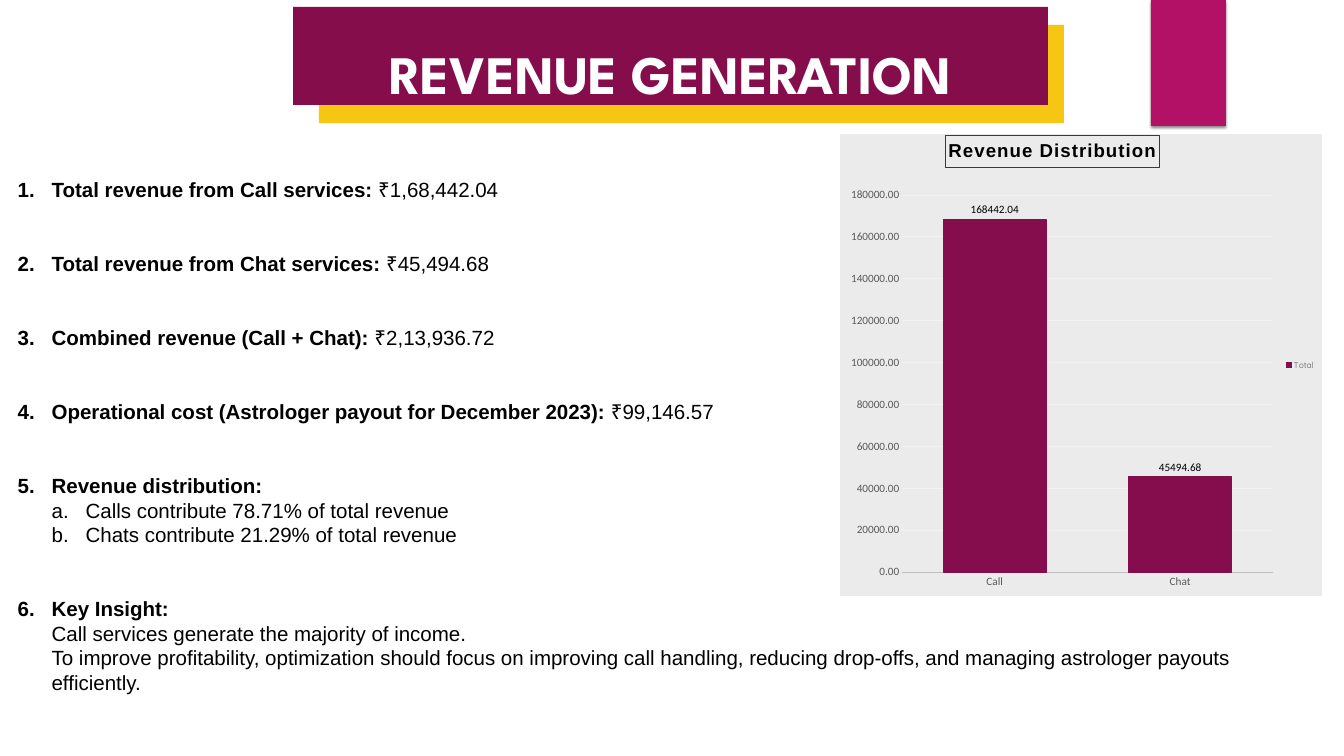
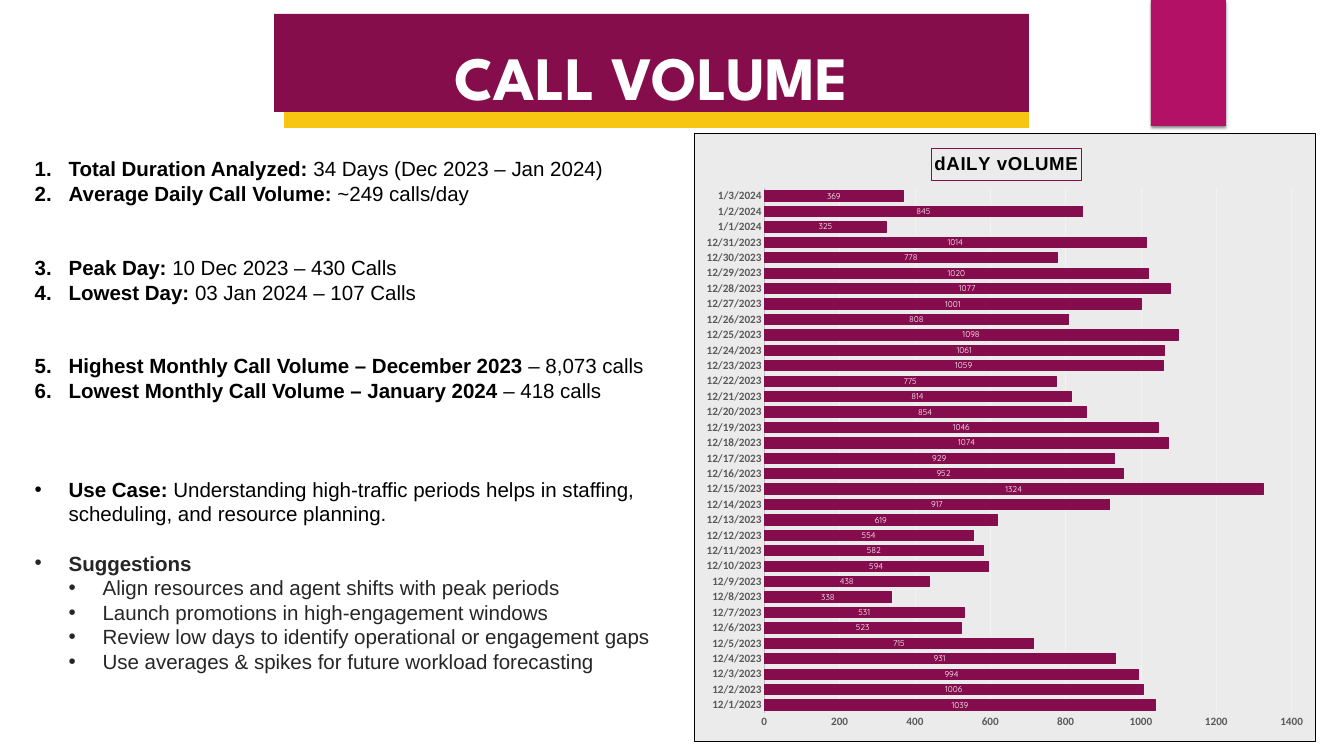
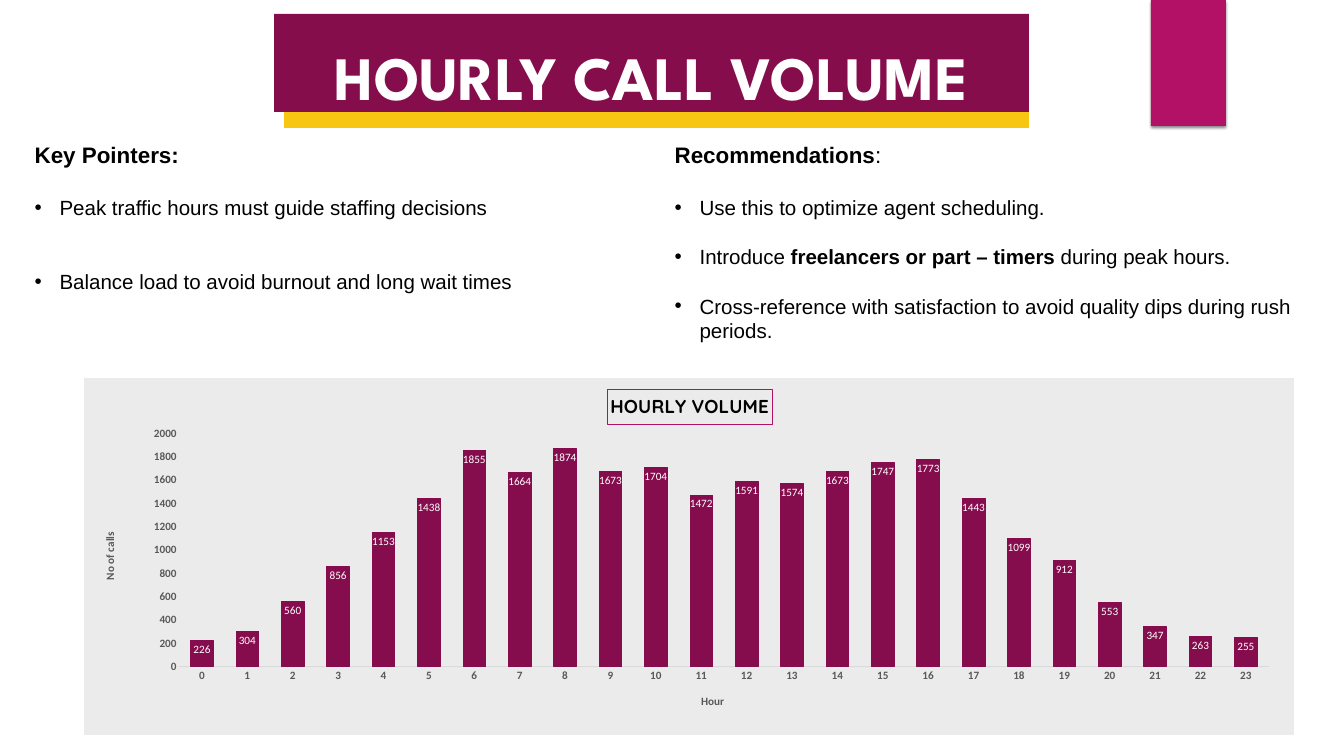
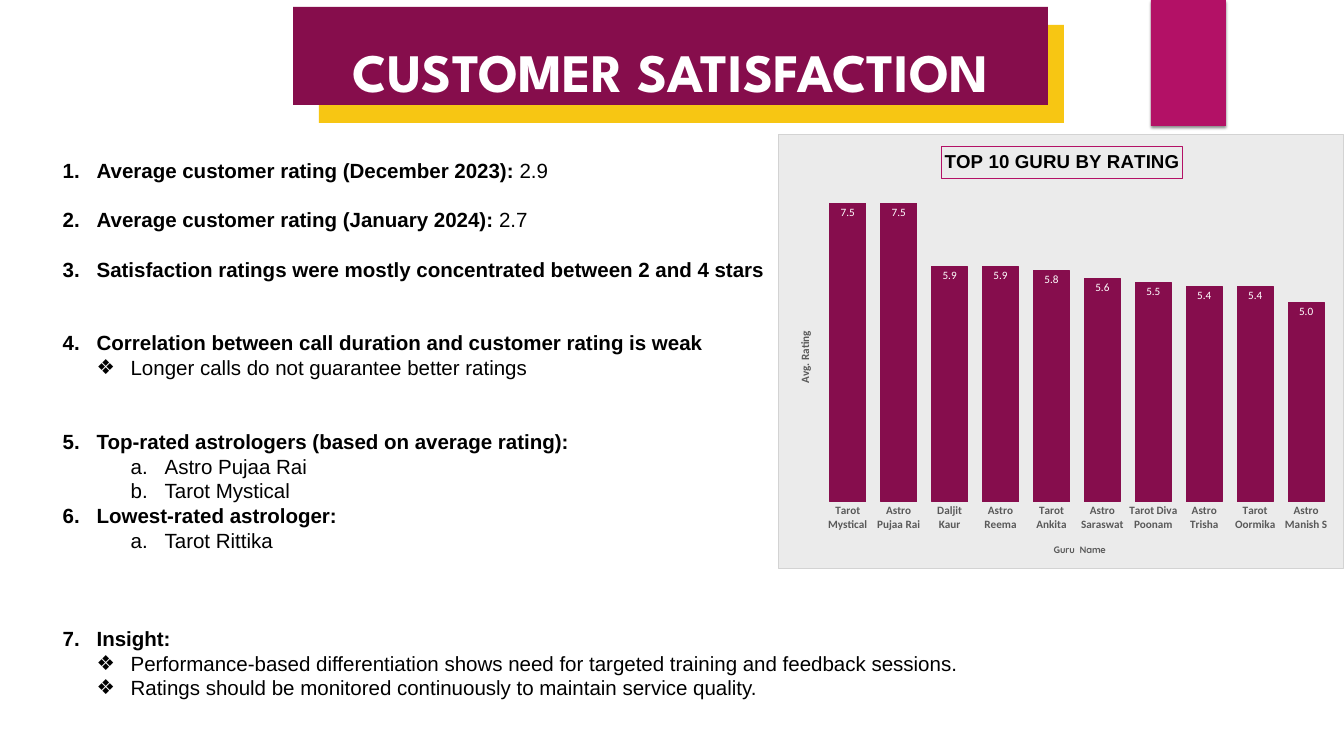
from pptx import Presentation
from pptx.chart.data import CategoryChartData
from pptx.dml.color import RGBColor
from pptx.enum.chart import XL_CHART_TYPE, XL_LABEL_POSITION, XL_LEGEND_POSITION, XL_TICK_MARK
from pptx.enum.shapes import MSO_SHAPE
from pptx.enum.text import MSO_ANCHOR, PP_ALIGN
from pptx.oxml import parse_xml
from pptx.oxml.ns import nsdecls, qn
from pptx.util import Pt

COLUMN, BAR = XL_CHART_TYPE.COLUMN_CLUSTERED, XL_CHART_TYPE.BAR_CLUSTERED
IN_END, OUT_END, CENTER = (XL_LABEL_POSITION.INSIDE_END, XL_LABEL_POSITION.OUTSIDE_END,
                           XL_LABEL_POSITION.CENTER)
NO_TICK, RIGHT = XL_TICK_MARK.NONE, XL_LEGEND_POSITION.RIGHT
RECT = MSO_SHAPE.RECTANGLE
TOP, MIDDLE = MSO_ANCHOR.TOP, MSO_ANCHOR.MIDDLE
LEFT, MID = PP_ALIGN.LEFT, PP_ALIGN.CENTER


class Theme:
    plum, bar, gold, pink = "860D4C", "860D4D", "F7C613", "B31166"
    black, white, ink, gray = "000000", "FFFFFF", "262626", "595959"
    panel, grid, axis, base, edge = "EBEBEB", "F2F2F2", "BFBFBF", "D9D9D9", "D3D3D3"
    head, body, label, plain = "League Spartan", "Arial", "Calibri", "Quicksand"
    text, lead, sub = 22, 26.4, 24
    title, tick, small, note = 20, 12, 9, 10


def px(n):
    return round(n * 914400 / 67.2)


def text(slide, box, items, font=Theme.body, size=Theme.text, color=Theme.black,
         lead=Theme.lead, anchor=MIDDLE, align=LEFT, inset=True, indent=34):
    """Items are (mark, level, blank lines above, text, overrides); ** toggles bold."""
    frame = slide.shapes.add_textbox(*map(px, box)).text_frame
    frame.word_wrap = True
    frame.vertical_anchor = anchor
    if not inset:
        frame.margin_left = frame.margin_right = frame.margin_top = frame.margin_bottom = 0
    for i, (mark, level, gap, words, *extra) in enumerate(items):
        look = {"size": size, "color": color}
        for change in extra:
            look.update(change)
        para = frame.add_paragraph() if i else frame.paragraphs[0]
        para.level, para.alignment = level, align
        para.line_spacing = Pt(lead)
        para.space_before = Pt(gap * lead)
        if mark:
            props = para._p.get_or_add_pPr()
            props.set("marL", str(px(indent * (level + 1))))
            props.set("indent", str(-px(indent)))
            auto = {"1.": "arabicPeriod", "a.": "alphaLcPeriod"}.get(mark)
            tag = f'buAutoNum {nsdecls("a")} type="{auto}"' if auto else f'buChar {nsdecls("a")} char="{mark}"'
            props.append(parse_xml(f'<a:buFont {nsdecls("a")} typeface="{font}"/>'))
            props.append(parse_xml(f"<a:{tag}/>"))
        for j, part in enumerate(words.split("**")):
            for k, line in enumerate(part.split("\n")):
                if k:
                    para.add_line_break()
                if line:
                    run = para.add_run()
                    run.text = line
                    run.font.name, run.font.size = font, Pt(look["size"])
                    run.font.bold = j % 2 == 1
                    run.font.color.rgb = RGBColor.from_string(look["color"])


def lay(node, area, x, y, w=None, h=None):
    """Fix the place of a plot or a title inside the chart area."""
    old = node.find(qn("c:layout"))
    if old is not None:
        node.remove(old)
    rows = [("xMode", "edge"), ("yMode", "edge"),
            ("x", round((x - area[0]) / area[2], 4)), ("y", round((y - area[1]) / area[3], 4))]
    if w:
        rows = [("layoutTarget", "inner"), *rows, ("w", round(w / area[2], 4)), ("h", round(h / area[3], 4))]
    inner = "".join(f'<c:{tag} val="{val}"/>' for tag, val in rows)
    layout = parse_xml(f'<c:layout {nsdecls("c")}><c:manualLayout>{inner}</c:manualLayout></c:layout>')
    node.insert(0 if node.find(qn("c:tx")) is None else 1, layout)


days = ([f"12/{d}/2023" for d in range(1, 32)] + [f"1/{d}/2024" for d in range(1, 4)])
daily = [1039, 1006, 994, 931, 715, 523, 531, 338, 438, 594, 582, 554, 619, 917, 1324, 952, 929,
         1074, 1046, 854, 814, 775, 1059, 1061, 1098, 808, 1001, 1077, 1020, 778, 1014, 325, 845, 369]
hourly = [226, 304, 560, 856, 1153, 1438, 1855, 1664, 1874, 1673, 1704, 1472, 1591, 1574, 1673,
          1747, 1773, 1443, 1099, 912, 553, 347, 263, 255]
gurus = ["Tarot Mystical", "Astro Pujaa Rai", "Daljit Kaur", "Astro Reema", "Tarot Ankita",
         "Astro Saraswat", "Tarot Diva Poonam", "Astro Trisha", "Tarot Oormika", "Astro Manish S"]
rates = [7.5, 7.5, 5.9, 5.9, 5.8, 5.6, 5.5, 5.4, 5.4, 5]

wide = {"band": (293, 7, 755, 98), "under": (319, 25, 745, 98), "size": 58}
tight = {"band": (274, 14, 755, 98), "under": (284, 30, 745, 98), "size": 66}
sub, soft = {"size": Theme.sub}, {"color": Theme.ink}

revenue = [
    ("1.", 0, 0, "**Total revenue from Call services: **₹1,68,442.04"),
    ("1.", 0, 2, "**Total revenue from Chat services:** ₹45,494.68"),
    ("1.", 0, 2, "**Combined revenue (Call + Chat): **₹2,13,936.72"),
    ("1.", 0, 2, "**Operational cost (Astrologer payout for December 2023): **₹99,146.57"),
    ("1.", 0, 2, "**Revenue distribution:**"),
    ("a.", 1, 0, "Calls contribute 78.71% of total revenue"),
    ("a.", 1, 0, "Chats contribute 21.29% of total revenue"),
    ("1.", 0, 2, "**Key Insight:**\nCall services generate the majority of income.\n"
     "To improve profitability, optimization should focus on improving call handling, "
     "reducing drop-offs, and managing astrologer payouts efficiently."),
]
volume = [
    ("1.", 0, 0, "**Total Duration Analyzed:** 34 Days (Dec 2023 – Jan 2024)"),
    ("1.", 0, 0, "**Average Daily Call Volume:** ~249 calls/day"),
    ("1.", 0, 2, "**Peak Day:** 10 Dec 2023 – 430 Calls"),
    ("1.", 0, 0, "**Lowest Day:** 03 Jan 2024 – 107 Calls"),
    ("1.", 0, 2, "**Highest Monthly Call Volume – December 2023** – 8,073 calls"),
    ("1.", 0, 0, "**Lowest Monthly Call Volume – January 2024** – 418 calls"),
    ("•", 0, 3, "**Use Case:** Understanding high-traffic periods helps in staffing, "
     "scheduling, and resource planning."),
    ("•", 0, 1, "**Suggestions**", soft),
    ("•", 1, 0, "Align resources and agent shifts with peak periods", soft),
    ("•", 1, 0, "Launch promotions in high-engagement windows", soft),
    ("•", 1, 0, "Review low days to identify operational or engagement gaps", soft),
    ("•", 1, 0, "Use averages & spikes for future workload forecasting", soft),
]
points = [
    ("", 0, 0, "**Key Pointers:**", sub),
    ("•", 0, 1.1, "Peak traffic hours must guide staffing decisions"),
    ("•", 0, 2, "Balance load to avoid burnout and long wait times"),
]
advice = [
    ("", 0, 0, "**Recommendations**:", sub),
    ("•", 0, 1.1, "Use this to optimize agent scheduling."),
    ("•", 0, 1, "Introduce **freelancers or part – timers** during peak hours."),
    ("•", 0, 1, "Cross-reference with satisfaction to avoid quality dips during rush periods."),
]
rating = [
    ("1.", 0, 0, "**Average customer rating (December 2023): **2.9"),
    ("1.", 0, 1, "**Average customer rating (January 2024): **2.7"),
    ("1.", 0, 1, "**Satisfaction ratings were mostly concentrated between 2 and 4 stars**"),
    ("1.", 0, 2, "**Correlation between call duration and customer rating is weak**"),
    ("❖", 1, 0, "Longer calls do not guarantee better ratings"),
    ("1.", 0, 2, "**Top-rated astrologers (based on average rating):**"),
    ("a.", 2, 0, "Astro Pujaa Rai"),
    ("a.", 2, 0, "Tarot Mystical"),
    ("1.", 0, 0, "**Lowest-rated astrologer:**"),
    ("a.", 2, 0, "Tarot Rittika"),
    ("1.", 0, 3, "**Insight:**"),
    ("❖", 1, 0, "Performance-based differentiation shows need for targeted training and feedback sessions."),
    ("❖", 1, 0, "Ratings should be monitored continuously to maintain service quality."),
]

pages = [
    {"title": "REVENUE GENERATION", "place": (293, 7, 755, 91), "look": wide,
     "texts": [((11, 171, 1310, 530), revenue, {})],
     "chart": {"type": COLUMN, "area": (840, 134, 482, 462), "plot": (902, 195, 371, 377),
               "title": "Revenue Distribution", "at": (945, 135), "font": Theme.body, "spread": 100,
               "frame": Theme.plum, "cats": ["Call", "Chat"], "vals": [168442.04, 45494.68],
               "name": "Total", "gap": 80, "overlap": 25, "top": 180000, "step": 20000,
               "fmt": "0.00", "labels": (OUT_END, 12, Theme.black, Theme.label),
               "bold": False, "line": Theme.axis, "grid": True, "legend": True}},
    {"title": "CALL VOLUME", "place": (274, 14, 755, 95), "look": tight,
     "texts": [((28, 150, 717, 530), volume, {})],
     "chart": {"type": BAR, "area": (694, 133, 622, 609), "plot": (764, 188, 528, 525),
               "title": "dAILY vOLUME", "at": (931, 148), "font": Theme.body, "spread": 50,
               "frame": Theme.plum, "cats": days, "vals": daily, "gap": 50, "top": 1400, "step": 200,
               "labels": (CENTER, Theme.small, Theme.white, Theme.plain),
               "line": Theme.axis, "grid": True, "border": Theme.black}},
    {"title": "HOURLY CALL VOLUME", "place": (274, 14, 755, 93), "look": tight,
     "texts": [((28, 140, 640, 214), points, {"anchor": TOP, "indent": 25}),
               ((668, 140, 654, 214), advice, {"anchor": TOP, "indent": 25})],
     "chart": {"type": COLUMN, "area": (84, 378, 1210, 357), "plot": (179, 433, 1090, 234),
               "title": "HOURLY VOLUME", "at": (607, 389), "font": Theme.plain,
               "frame": Theme.pink, "cats": [str(h) for h in range(24)], "vals": hourly,
               "gap": 100, "overlap": -24, "top": 2000, "step": 200,
               "labels": (IN_END, Theme.tick, Theme.white, Theme.label),
               "line": Theme.base, "border": Theme.panel,
               "cat name": ("Hour", 699, 692, Theme.tick, Theme.label),
               "val name": ("No of calls", 100, 530, Theme.tick, Theme.label)}},
    {"title": "CUSTOMER SATISFACTION", "place": (280, 5, 781, 91), "look": wide,
     "texts": [((56, 152, 1159, 554), rating, {})],
     "chart": {"type": COLUMN, "area": (778, 134, 566, 435), "plot": (822, 183, 510, 319),
               "title": "TOP 10 GURU BY RATING", "at": (941, 146), "font": Theme.body,
               "frame": Theme.pink, "cats": gurus, "vals": rates, "gap": 41, "top": 8, "step": 1,
               "fmt": "0.0", "labels": (IN_END, Theme.tick, Theme.white, Theme.label),
               "border": Theme.edge, "hide": True,
               "cat name": ("Guru  Name", 1052, 542, Theme.note, Theme.plain),
               "val name": ("Avg. Rating", 795, 329, Theme.tick, Theme.label)}},
]

deck = Presentation()
deck.slide_width, deck.slide_height = px(1344), px(756)

for page in pages:
    slide = deck.slides.add_slide(deck.slide_layouts[6])
    look = page["look"]

    # Corner tab and title band
    for box, color in [((1151, 0, 75, 126), Theme.pink), (look["under"], Theme.gold),
                       (look["band"], Theme.plum)]:
        shape = slide.shapes.add_shape(RECT, *map(px, box))
        shape.shadow.inherit = False
        shape.fill.solid()
        shape.fill.fore_color.rgb = RGBColor.from_string(color)
        shape.line.fill.background()
        if color == Theme.pink:
            shape._element.spPr.find(qn("a:effectLst")).append(parse_xml(
                f'<a:outerShdw {nsdecls("a")} blurRad="{Pt(3)}" dist="{Pt(2)}" dir="5400000">'
                f'<a:srgbClr val="{Theme.black}"><a:alpha val="45000"/></a:srgbClr></a:outerShdw>'))
    text(slide, page["place"], [("", 0, 0, f"**{page['title']}**")], font=Theme.head, size=look["size"],
         color=Theme.white, lead=105.5, anchor=TOP, align=MID, inset=False)
    for box, items, fmt in page["texts"]:
        text(slide, box, items, **fmt)

    # Chart and its panel
    plan = page["chart"]
    area, fmt = plan["area"], plan.get("fmt", "General")
    data = CategoryChartData()
    data.categories = plan["cats"]
    data.add_series(plan.get("name", "Series 1"), plan["vals"])
    chart = slide.shapes.add_chart(plan["type"], *map(px, area), data).chart
    chart.font.name, chart.font.size = Theme.plain, Pt(Theme.note)
    chart.font.color.rgb = RGBColor.from_string(Theme.black)
    edge = plan.get("border")
    fill = f'<a:solidFill><a:srgbClr val="{edge}"/></a:solidFill>' if edge else "<a:noFill/>"
    chart._chartSpace.chart.addnext(parse_xml(
        f'<c:spPr {nsdecls("c", "a")}><a:solidFill><a:srgbClr val="{Theme.panel}"/></a:solidFill>'
        f'<a:ln w="{Pt(0.75)}">{fill}</a:ln></c:spPr>'))
    chart.has_legend = plan.get("legend", False)
    if chart.has_legend:
        chart.legend.position, chart.legend.include_in_layout = RIGHT, False
        chart.legend.font.name, chart.legend.font.size = Theme.plain, Pt(Theme.small)
        chart.legend.font.color.rgb = RGBColor.from_string(Theme.gray)

    # Bars and value labels
    plot = chart.plots[0]
    plot.vary_by_categories = False
    plot.gap_width, plot.overlap = plan["gap"], plan.get("overlap", 0)
    bars = plot.series[0].format
    bars.fill.solid()
    bars.fill.fore_color.rgb = RGBColor.from_string(Theme.bar)
    bars.line.color.rgb = RGBColor.from_string(Theme.bar)
    bars.line.width = Pt(0.75)
    spot, size, color, font = plan["labels"]
    labels = plot.series[0].data_labels
    labels.show_value, labels.position = True, spot
    labels.number_format, labels.number_format_is_linked = fmt, False
    labels.font.name, labels.font.size = font, Pt(size)
    labels.font.color.rgb = RGBColor.from_string(color)

    # Axes
    cat, val = chart.category_axis, chart.value_axis
    val.minimum_scale, val.maximum_scale, val.major_unit = 0, plan["top"], plan["step"]
    val.has_major_gridlines = plan.get("grid", False)
    if val.has_major_gridlines:
        val.major_gridlines.format.line.color.rgb = RGBColor.from_string(Theme.grid)
        val.major_gridlines.format.line.width = Pt(0.75)
    val.tick_labels.number_format, val.tick_labels.number_format_is_linked = fmt, False
    val.visible = not plan.get("hide", False)
    for axis, line in [(cat, plan.get("line")), (val, None)]:
        axis.major_tick_mark = axis.minor_tick_mark = NO_TICK
        face = axis.tick_labels.font
        face.name, face.size, face.bold = Theme.label, Pt(Theme.tick), plan.get("bold", True)
        face.color.rgb = RGBColor.from_string(Theme.gray)
        if line:
            axis.format.line.color.rgb = RGBColor.from_string(line)
            axis.format.line.width = Pt(0.75)
        else:
            axis.format.line.fill.background()

    # Titles of the chart and of its axes
    names = [(chart, (plan["title"], *plan["at"], Theme.title, plan["font"]))]
    names += [(axis, plan[key]) for axis, key in [(cat, "cat name"), (val, "val name")] if key in plan]
    for owner, (words, x, y, size, font) in names:
        owner.has_title = True
        title = chart.chart_title if owner is chart else owner.axis_title
        run = title.text_frame.paragraphs[0].add_run()
        run.text = words
        run.font.name, run.font.size, run.font.bold = font, Pt(size), True
        run.font.color.rgb = RGBColor.from_string(Theme.black if owner is chart else Theme.gray)
        if owner is chart:
            run._r.get_or_add_rPr().set("spc", str(plan.get("spread", 0)))
            title.format.line.color.rgb = RGBColor.from_string(plan["frame"])
            title.format.line.width = Pt(1)
        elif owner is val:
            title.text_frame._txBody.bodyPr.set("rot", "-5400000")
        lay(title._element, area, x, y)
    lay(chart._chartSpace.chart.plotArea, area, *plan["plot"])

deck.save("out.pptx")
